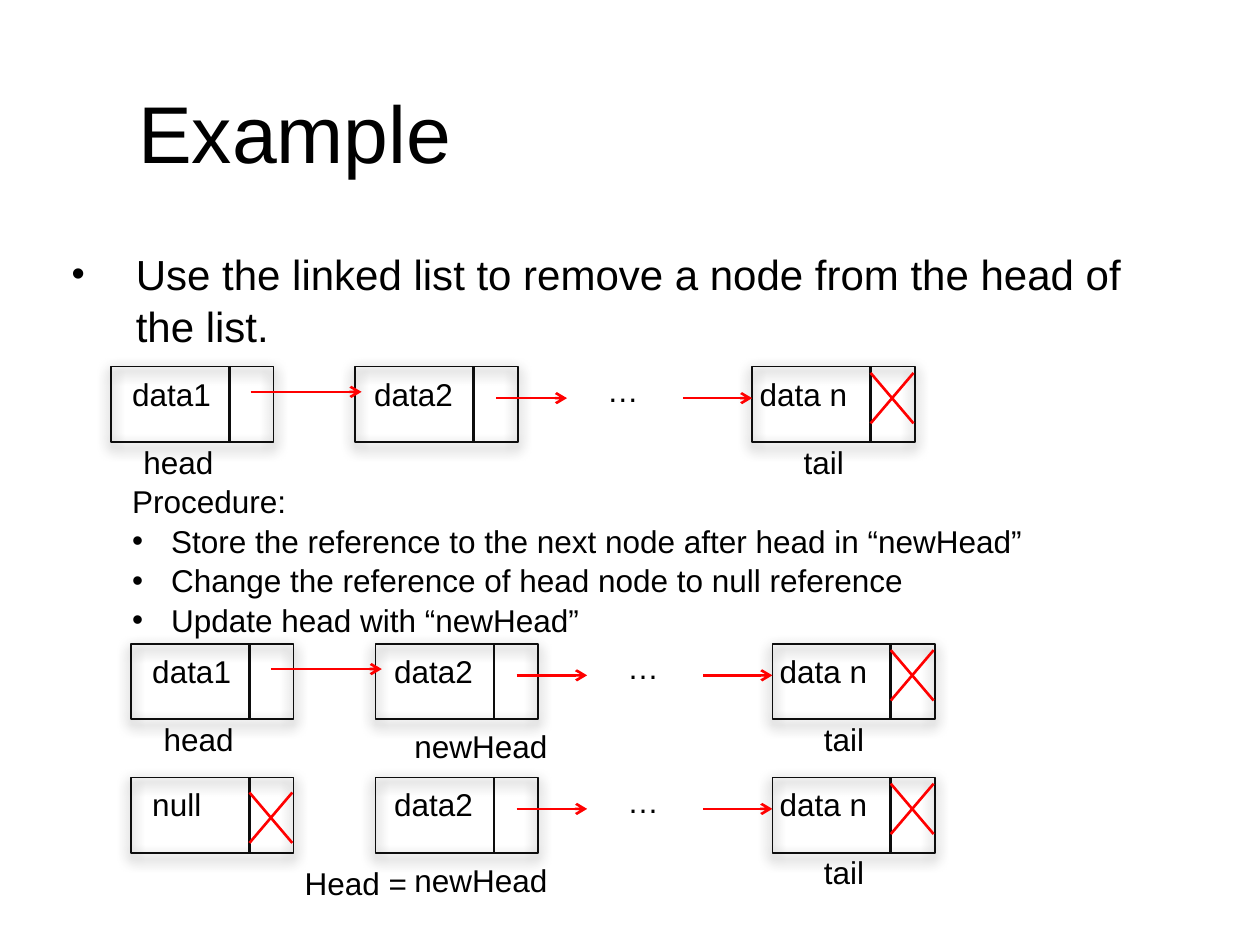
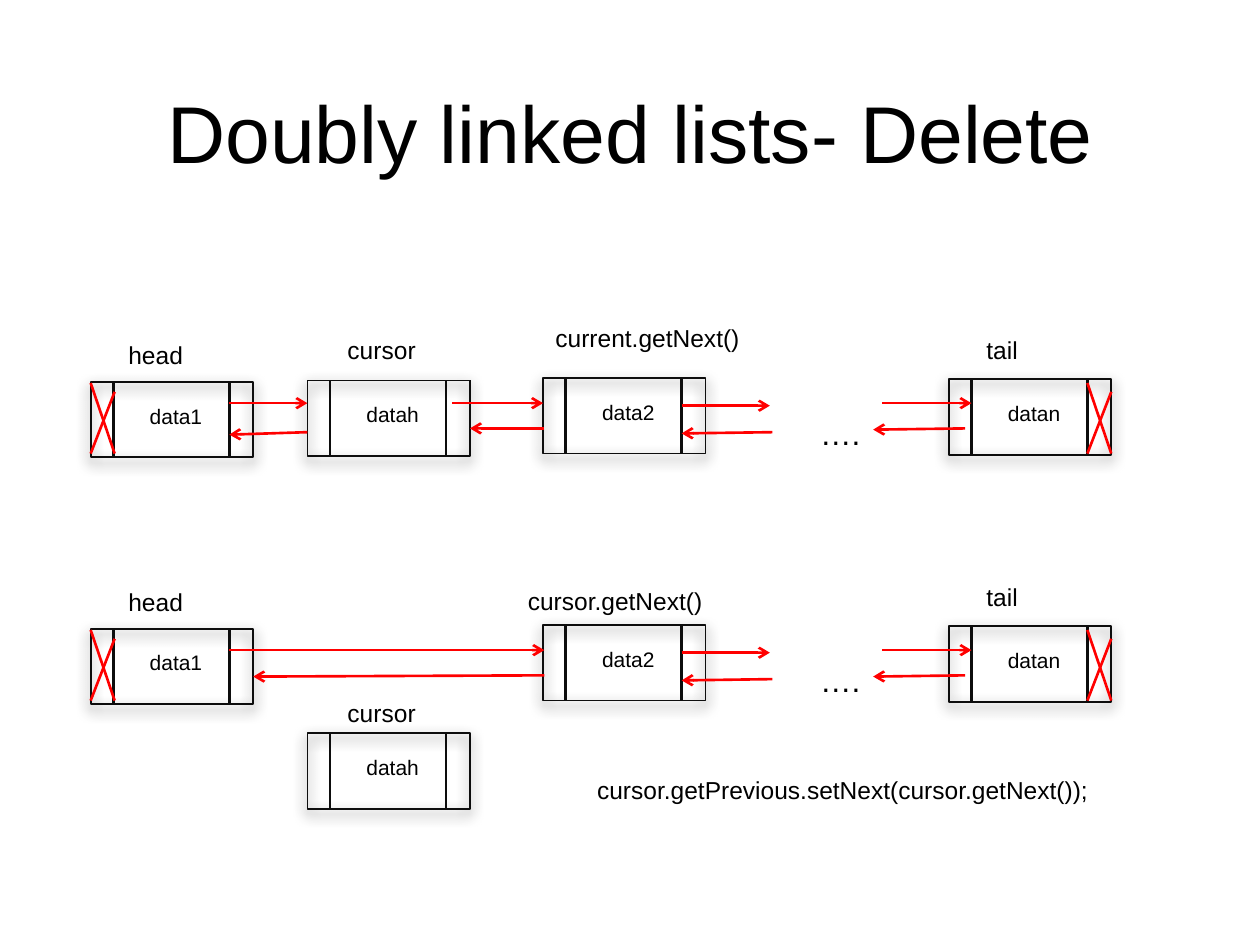
import lxml.etree
import pptx
import pptx.dml.color
import pptx.enum.shapes
import pptx.enum.text
import pptx.oxml.ns
import pptx.util

Inches = pptx.util.Inches
Pt = pptx.util.Pt
qn = pptx.oxml.ns.qn

COLORS = {"text": "000000", "outline": "0D0D0D", "pointer": "FF0000", "shadow": "000000"}
FONT = "Arial"
LINE_SPACING = 1.05
LABEL_HEIGHTS = {18: 0.4, 14: 0.34, 12: 0.3}
NODE_WIDTH, NODE_HEIGHT = 1.29, 0.6
SINGLE_DIVIDERS = (0.94,)
DOUBLE_DIVIDERS = (0.18, 1.1)


def color(name):
    return pptx.dml.color.RGBColor.from_string(COLORS[name])


def add_xml(parent, tag, **attributes):
    return lxml.etree.SubElement(parent, qn(tag), attributes)


# Text
def add_text(page, box, lines, size, bullet_indent=None, bullet_size=None, **frame_format):
    """Each line is (text, is_bullet); box is left, top, width, height."""
    shape = page.shapes.add_textbox(*map(Inches, box))
    for name, value in frame_format.items():
        setattr(shape.text_frame, name, value)
    for index, (text, is_bullet) in enumerate(lines):
        frame = shape.text_frame
        para = frame.add_paragraph() if index else frame.paragraphs[0]
        if is_bullet:
            properties = para._p.get_or_add_pPr()
            properties.set("marL", str(Inches(bullet_indent)))
            properties.set("indent", str(-Inches(bullet_indent)))
            if bullet_size:
                add_xml(properties, "a:buSzPct", val=str(bullet_size * 1000))
            add_xml(properties, "a:buFont", typeface=FONT)
            add_xml(properties, "a:buChar", char="•")
        para.line_spacing = LINE_SPACING
        span = para.add_run()
        span.text = text
        for name, value in {"name": FONT, "size": Pt(size)}.items():
            setattr(span.font, name, value)
        span.font.color.rgb = color("text")
    return shape


def add_label(page, text, left, top, width, size):
    add_text(page, (left, top, width, LABEL_HEIGHTS[size]), [(text, False)], size,
             word_wrap=False, auto_size=pptx.enum.text.MSO_AUTO_SIZE.SHAPE_TO_FIT_TEXT)


def add_title(page, text, alignment):
    title = add_text(page, (1, 0.55, 8, 0.95), [(text, False)], 46, word_wrap=True,
                     vertical_anchor=pptx.enum.text.MSO_ANCHOR.MIDDLE)
    title.text_frame.paragraphs[0].alignment = alignment


# Lines and nodes
def add_line(shapes, start, end, line_color, arrow=False):
    line = shapes.add_connector(pptx.enum.shapes.MSO_CONNECTOR.STRAIGHT,
                                *map(Inches, (*start, *end)))
    line.line.color.rgb = color(line_color)
    line.line.width = Pt(1.5)
    properties = line.element.spPr
    if arrow:
        add_xml(properties.find(qn("a:ln")), "a:tailEnd", type="arrow")
    add_xml(properties, "a:effectLst")


def add_arrows(page, left, top, arrows):
    for x1, y1, x2, y2 in arrows:
        add_line(page.shapes, (left + x1, top + y1), (left + x2, top + y2), "pointer", True)


def add_cross(page, left, top, width, height, drop=0):
    """A null pointer; drop lowers the upper right end."""
    right, bottom = left + width, top + height
    add_line(page.shapes, (right, top + drop), (left, bottom), "pointer")
    add_line(page.shapes, (left, top), (right, bottom), "pointer")


def add_node(page, left, top, dividers):
    group = page.shapes.add_group_shape()
    box = group.shapes.add_shape(pptx.enum.shapes.MSO_SHAPE.RECTANGLE,
                                 *map(Inches, (left, top, NODE_WIDTH, NODE_HEIGHT)))
    box.fill.background()
    box.line.color.rgb = color("outline")
    box.line.width = Pt(1)
    box.shadow.inherit = False
    effects = box.element.spPr.find(qn("a:effectLst"))
    shadow = add_xml(effects, "a:outerShdw", blurRad=str(Pt(8)), dist=str(Pt(3)),
                     dir="5400000", algn="ctr", rotWithShape="0")
    shade = add_xml(shadow, "a:srgbClr", val=COLORS["shadow"])
    add_xml(shade, "a:alpha", val="75000")
    for offset in dividers:
        add_line(group.shapes, (left + offset, top), (left + offset, top + NODE_HEIGHT),
                 "outline")


# Singly linked list: every place is relative to the first node
def add_single_chain(page, left, top, first, captions, head_linked=True):
    nodes = [(0, 0.07, *first), (1.94, 0.05, "data2", 0.95), (5.09, -0.04, "data n", 1.03)]
    for offset, inset, text, width in nodes:
        add_node(page, left + offset, top, SINGLE_DIVIDERS)
        add_label(page, text, left + offset + inset, top, width, 18)
    add_arrows(page, left, top, [(3.06, 0.25, 3.62, 0.25), (4.54, 0.25, 5.09, 0.25)])
    if head_linked:
        add_arrows(page, left, top, [(1.11, 0.2, 1.99, 0.2)])
    else:
        add_cross(page, left + 0.94, top + 0.12, 0.34, 0.4)
    add_cross(page, left + 6.03, top + 0.05, 0.34, 0.4)
    for text, x, y, width in [("…", 3.84, -0.03, 0.45), ("tail", 5.4, 0.54, 0.56), *captions]:
        add_label(page, text, left + x, top + y, width, 18)


# Doubly linked list
def add_double_node(page, text, left, top, dividers=DOUBLE_DIVIDERS):
    add_node(page, left, top, dividers)
    add_label(page, text, left + 0.37, top + 0.11, 0.7, 12)


def add_double_chain(page, left, top, cursor_drop, captions, arrows):
    add_double_node(page, "data1", left, top)
    add_double_node(page, "data2", left + 3.59, top - 0.03)
    add_double_node(page, "datan", left + 6.81, top - 0.02)
    add_double_node(page, "datah", left + 1.72, top + cursor_drop,
                    (*DOUBLE_DIVIDERS, NODE_WIDTH))
    for offset in (0, 7.91):
        add_cross(page, left + offset, top + 0.01, 0.19, 0.56, 0.07)
    shared_arrows = [(4.69, 0.19, 5.39, 0.19), (6.28, 0.17, 6.99, 0.17),
                     (5.41, 0.4, 4.69, 0.41), (6.94, 0.37, 6.21, 0.38)]
    add_arrows(page, left, top, shared_arrows + arrows)
    add_label(page, "….", left + 5.69, top + 0.19, 0.52, 18)
    for text, x, y, width in [("head", 0.2, -0.39, 0.72), ("tail", 7.01, -0.43, 0.48),
                              *captions]:
        add_label(page, text, left + x, top + y, width, 14)


# Slides
def build_remove_head(page):
    add_title(page, "Example", pptx.enum.text.PP_ALIGN.LEFT)
    task = "Use the linked list to remove a node from the head of the list."
    add_text(page, (0.47, 1.9, 9, 4.78), [(task, True)], 24, 0.51, 90, word_wrap=True)
    head = ("head", 0.16, 0.54, 0.87)
    new_head = ("newHead", 2.15, 0.6, 1.41)
    add_single_chain(page, 0.88, 2.91, ("data1", 0.95), [head])
    steps = [("Procedure:", False),
             ("Store the reference to the next node after head in “newHead”", True),
             ("Change the reference of head node to null reference", True),
             ("Update head with “newHead”", True)]
    add_text(page, (0.95, 3.76, 8.15, 1.31), steps, 18, 0.31, word_wrap=False,
             auto_size=pptx.enum.text.MSO_AUTO_SIZE.SHAPE_TO_FIT_TEXT)
    add_single_chain(page, 1.04, 5.11, ("data1", 0.95), [head, new_head])
    add_single_chain(page, 1.04, 6.17, ("null", 0.61),
                     [("Head =", 1.28, 0.62, 1.11), new_head], head_linked=False)


def build_double_delete(page):
    add_title(page, "Doubly linked lists- Delete", pptx.enum.text.PP_ALIGN.CENTER)
    add_double_chain(page, 0.72, 3.03, -0.01,
                     [("cursor", 1.94, -0.43, 0.77), ("current.getNext()", 3.59, -0.53, 1.84)],
                     [(1.1, 0.17, 1.72, 0.17), (2.87, 0.17, 3.59, 0.17),
                      (3.6, 0.37, 3.01, 0.37), (1.72, 0.4, 1.1, 0.42)])
    add_double_chain(page, 0.72, 4.99, 0.83,
                     [("cursor", 1.94, 0.49, 0.77), ("cursor.getNext()", 3.37, -0.4, 1.72)],
                     [(1.1, 0.17, 3.6, 0.17), (3.6, 0.37, 1.29, 0.38)])
    add_label(page, "cursor.getPrevious.setNext(cursor.getNext());", 4.64, 6.09, 4.38, 14)


def main():
    deck = pptx.Presentation()
    deck.slide_width, deck.slide_height = Inches(10), Inches(7.5)
    for build in (build_remove_head, build_double_delete):
        build(deck.slides.add_slide(deck.slide_layouts[6]))
    deck.save("out.pptx")


if __name__ == "__main__":
    main()
